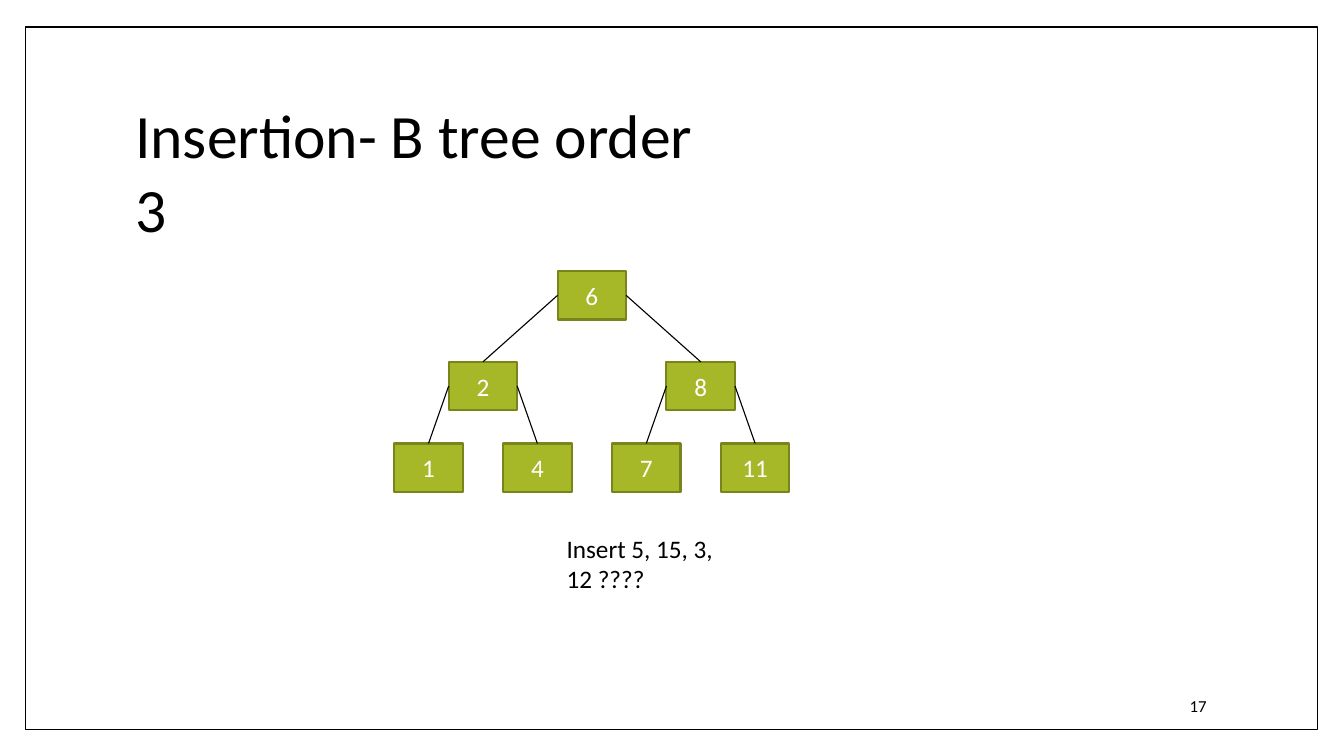
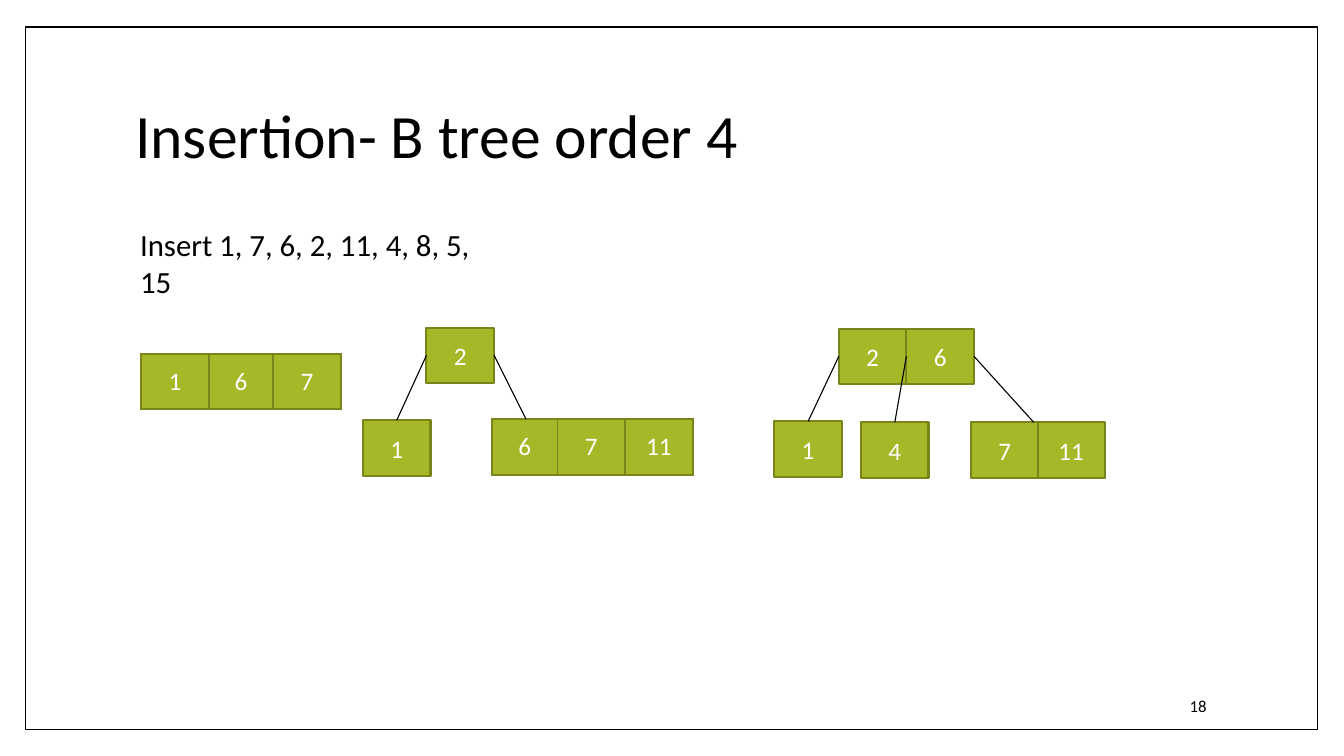
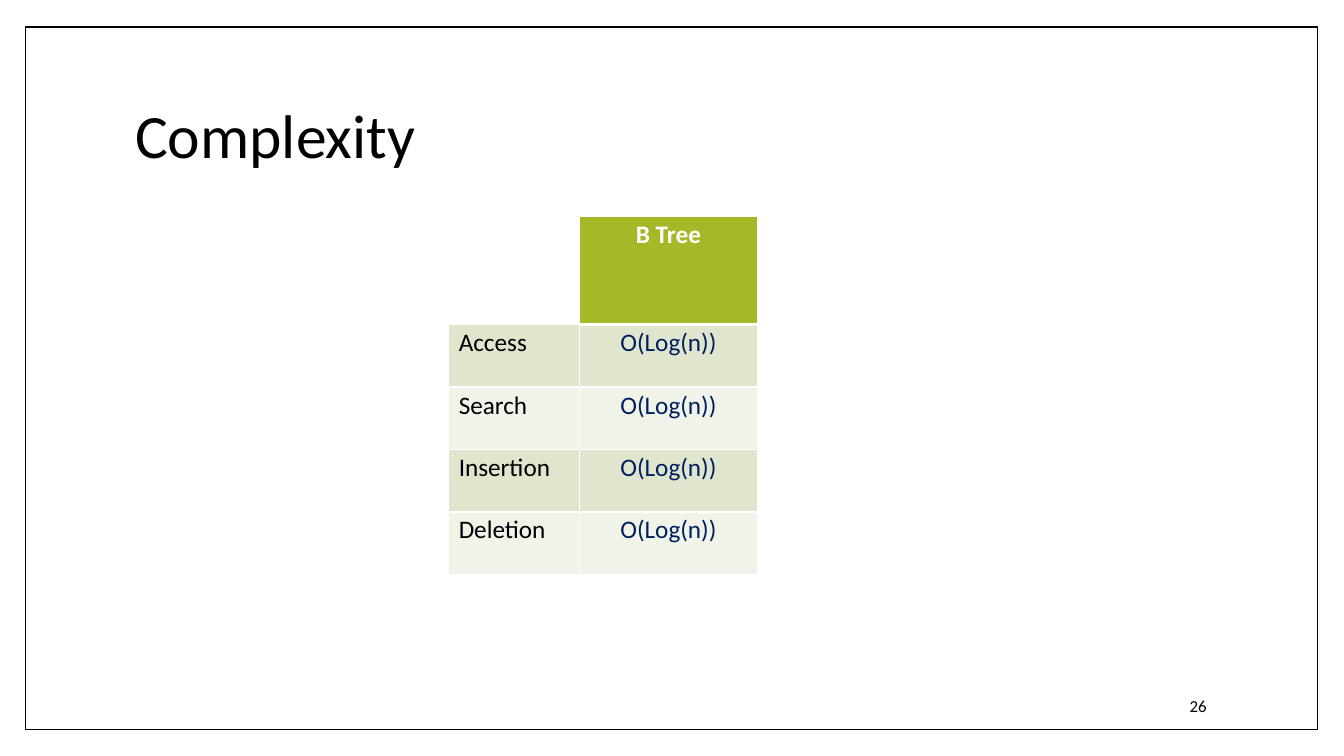
from pptx import Presentation
from pptx.dml.color import RGBColor
from pptx.enum.shapes import MSO_CONNECTOR as Connector, MSO_SHAPE as Shape
from pptx.enum.text import MSO_ANCHOR as Anchor, MSO_AUTO_SIZE as AutoSize, PP_ALIGN as Align
from pptx.oxml.ns import qn
from pptx.util import Inches, Pt
from lxml.etree import SubElement

FONT = "Calibri"
BLACK = RGBColor(0x00, 0x00, 0x00)
WHITE = RGBColor(0xFF, 0xFF, 0xFF)
NAVY = RGBColor(0x00, 0x1F, 0x5F)
GREEN = RGBColor(0xA6, 0xB7, 0x27)
OLIVE = RGBColor(0x79, 0x85, 0x1A)
BANDS = [RGBColor(0xE0, 0xE6, 0xCD), RGBColor(0xF0, 0xF3, 0xE8)]

TREE_LEVELS = [
    (2.69, ["6"]),
    (3.59, ["2", "8"]),
    (4.4, ["1", "4", "7", "11"]),
]
LEAF_LEFT, LEAF_PITCH = 3.91, 1.08
NODE_SIZE = (0.68, 0.48)

KEY_SIZE = (0.67, 0.55)
KEY_ROWS = {
    "first leaf": (1.4, 3.51, ["1", "6", "7"], [0.67, 0.64, 0.67]),
    "right leaf": (4.88, 4.16, ["6", "7", "11"], [0.65, 0.67, 0.67]),
}
KEY_BOXES = {
    "root 2": (4.23, 3.25, "2"),
    "left leaf": (3.6, 4.17, "1"),
    "split 6": (8.99, 3.26, "6"),
    "split 2": (8.32, 3.26, "2"),
    "split leaf 1": (7.68, 4.18, "1"),
    "split leaf 4": (8.54, 4.19, "4"),
    "split leaf 11": (10.29, 4.19, "11"),
    "split leaf 7": (9.63, 4.19, "7"),
}
KEY_EDGES = [
    ("root 2", 0, "left leaf", 0.5),
    ("root 2", 1, "right leaf", 0.17),
    ("split 2", 0, "split leaf 1", 0.5),
    ("split 2", 1, "split leaf 4", 0.5),
    ("split 6", 1, "split leaf 7", 0.93),
]

OPERATIONS = ["Access", "Search", "Insertion", "Deletion"]
COST = "O(Log(n))"


def write(frame, text, size, color, align=Align.LEFT, bold=False):
    frame.text = text
    para = frame.paragraphs[0]
    para.alignment = align
    font = para.font
    font.name, font.size, font.bold = FONT, Pt(size), bold
    font.color.rgb = color


def set_frame(frame, anchor, top=0):
    frame.word_wrap = True
    frame.auto_size = AutoSize.NONE
    frame.vertical_anchor = anchor
    frame.margin_left = frame.margin_right = frame.margin_bottom = 0
    frame.margin_top = Inches(top)


def add_label(slide, text, size, left, top, width, height):
    box = slide.shapes.add_textbox(Inches(left), Inches(top), Inches(width), Inches(height))
    set_frame(box.text_frame, Anchor.TOP, 0.01)
    write(box.text_frame, text, size, BLACK)


def add_box(slide, left, top, width, height, line, weight):
    box = slide.shapes.add_shape(
        Shape.RECTANGLE, Inches(left), Inches(top), Inches(width), Inches(height))
    box.shadow.inherit = False
    box.fill.background()
    box.line.color.rgb = line
    box.line.width = Pt(weight)
    return box


def add_node(slide, key, left, top, size):
    node = add_box(slide, left, top, *size, OLIVE, 1.5)
    node.fill.solid()
    node.fill.fore_color.rgb = GREEN
    set_frame(node.text_frame, Anchor.MIDDLE)
    write(node.text_frame, key, 18, WHITE, Align.CENTER)
    return node


def add_edge(slide, parent, parent_share, child, child_share):
    edge = slide.shapes.add_connector(
        Connector.STRAIGHT,
        parent.left + int(parent.width * parent_share), parent.top + parent.height // 2,
        child.left + int(child.width * child_share), child.top)
    edge.line.color.rgb = BLACK
    edge.line.width = Pt(0.79)
    SubElement(edge.element.spPr, qn("a:effectLst"))


def add_grid(slide, left, top, widths, heights):
    frame = slide.shapes.add_table(
        len(heights), len(widths), Inches(left), Inches(top),
        Inches(sum(widths)), Inches(sum(heights)))
    table = frame.table
    table.first_row = table.horz_banding = False
    for column, width in zip(table.columns, widths):
        column.width = Inches(width)
    for row, height in zip(table.rows, heights):
        row.height = Inches(height)
    return frame


def set_cell(cell, text, color, fill, border, weights, align, anchor, left=0, top=0, bold=False):
    cell.margin_left, cell.margin_top = Inches(left), Inches(top)
    cell.margin_right = cell.margin_bottom = 0
    cell.vertical_anchor = anchor
    properties = cell._tc.get_or_add_tcPr()
    for side, weight in zip("LRTB", weights):
        line = SubElement(properties, qn(f"a:ln{side}"), w=str(Pt(weight)))
        solid = SubElement(line, qn("a:solidFill"))
        SubElement(solid, qn("a:srgbClr"), val=str(border))
    cell.fill.solid()
    cell.fill.fore_color.rgb = fill
    write(cell.text_frame, text, 18, color, align, bold)


def add_key_row(slide, left, top, keys, widths):
    frame = add_grid(slide, left, top, widths, [KEY_SIZE[1]])
    for cell, key in zip(frame.table.iter_cells(), keys):
        set_cell(cell, key, WHITE, GREEN, OLIVE, [1.5] * 4, Align.CENTER, Anchor.MIDDLE)
    return frame


def prepare_layout(deck):
    layout = deck.slide_layouts[5]
    for holder in list(layout.placeholders)[1:]:
        holder.element.getparent().remove(holder.element)
    return layout


def add_page(deck, layout, title, title_width, number):
    slide = deck.slides.add_slide(layout)
    heading = slide.shapes.title
    heading.left, heading.top = Inches(1.34), Inches(0.95)
    heading.width, heading.height = Inches(title_width), Inches(0.76)
    set_frame(heading.text_frame, Anchor.TOP, 0.01)
    write(heading.text_frame, title, 44, BLACK)
    add_label(slide, number, 12, 11.8, 6.89, 0.26, 0.22)
    return slide


def draw_order_three(slide):
    leaf_count = len(TREE_LEVELS[-1][1])
    levels = []
    for top, keys in TREE_LEVELS:
        span = leaf_count / len(keys)
        levels.append([
            add_node(slide, key, LEAF_LEFT + LEAF_PITCH * ((i + 0.5) * span - 0.5), top, NODE_SIZE)
            for i, key in enumerate(keys)])
    for parents, children in zip(levels, levels[1:]):
        for i, child in enumerate(children):
            add_edge(slide, parents[i // 2], i % 2, child, 0.5)
    add_label(slide, "Insert 5, 15, 3, 12 ????", 18, 5.62, 5.28, 1.6, 0.65)


def draw_order_four(slide):
    add_label(slide, "Insert 1, 7, 6, 2, 11, 4, 8, 5, 15", 22, 1.39, 2.23, 3.4, 0.78)
    nodes = {name: add_key_row(slide, *row) for name, row in KEY_ROWS.items()}
    for name, (left, top, key) in KEY_BOXES.items():
        nodes[name] = add_node(slide, key, left, top, KEY_SIZE)
    for parent, parent_share, child, child_share in KEY_EDGES:
        add_edge(slide, nodes[parent], parent_share, nodes[child], child_share)


def draw_complexity(slide):
    heights = [1.07] + [0.62] * len(OPERATIONS)
    table = add_grid(slide, 4.45, 2.15, [1.3, 1.76], heights).table
    set_cell(table.cell(0, 0), "", BLACK, WHITE, WHITE, [1] * 4, Align.LEFT, Anchor.TOP)
    set_cell(table.cell(0, 1), "B Tree", WHITE, GREEN, WHITE, [1, 1, 1, 3],
             Align.CENTER, Anchor.TOP, top=0.03, bold=True)
    for i, operation in enumerate(OPERATIONS):
        band = BANDS[i % 2]
        cost_top = 1 if i else 3
        set_cell(table.cell(i + 1, 0), operation, BLACK, band, WHITE, [1] * 4,
                 Align.LEFT, Anchor.TOP, left=0.1, top=0.03)
        set_cell(table.cell(i + 1, 1), COST, NAVY, band, WHITE, [1, 1, cost_top, 1],
                 Align.CENTER, Anchor.TOP, top=0.03)


PAGES = [
    ("Insertion- B tree order 3", 5.9, "17", draw_order_three),
    ("Insertion- B tree order 4", 6.2, "18", draw_order_four),
    ("Complexity", 6.2, "26", draw_complexity),
]


def main():
    deck = Presentation()
    deck.slide_width, deck.slide_height = Inches(13.33), Inches(7.5)
    layout = prepare_layout(deck)
    for title, title_width, number, draw in PAGES:
        draw(add_page(deck, layout, title, title_width, number))
    border = add_box(deck.slides[0], 0.25, 0.27, 12.82, 6.97, BLACK, 1)
    layout.shapes.element.append(border.element)
    deck.save("out.pptx")


if __name__ == "__main__":
    main()
